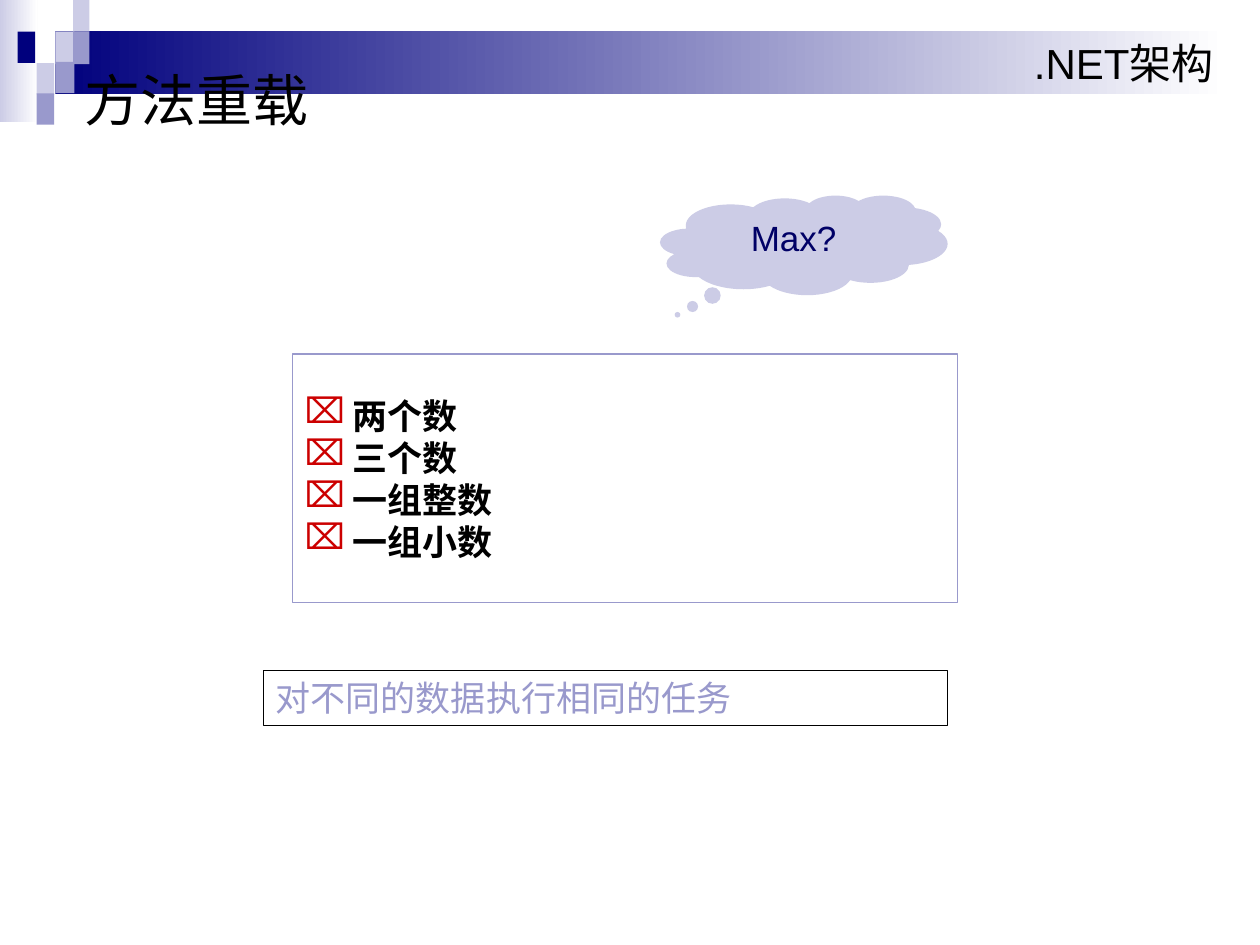
from lxml.etree import SubElement
from pptx import Presentation
from pptx.dml.color import RGBColor
from pptx.enum.shapes import MSO_SHAPE
from pptx.enum.text import MSO_ANCHOR, PP_ALIGN
from pptx.oxml.ns import qn
from pptx.util import Inches, Pt

NAVY, BLUE, PALE = "00007D", "9999CC", "CCCCE6"
WHITE, BLACK, RED = "FFFFFF", "000000", "CC0000"

# Small squares of the corner pattern: left, top, width, height, colour
TILES = [
    (0.44, 0.25, 0.15, 0.26, PALE),
    (0.58, 0, 0.13, 0.25, PALE),
    (0.58, 0.25, 0.13, 0.26, BLUE),
    (0.29, 0.5, 0.14, 0.25, PALE),
    (0.14, 0.25, 0.14, 0.25, NAVY),
    (0.44, 0.49, 0.15, 0.25, BLUE),
    (0.29, 0.74, 0.14, 0.25, BLUE),
]
CASES = ["两个数", "三个数", "一组整数", "一组小数"]


def color(code):
    return RGBColor.from_string(code)


def add_shape(slide, box, fill=None, line=None, kind=MSO_SHAPE.RECTANGLE):
    shape = slide.shapes.add_shape(kind, *map(Inches, box))
    shape.shadow.inherit = False
    if fill:
        shape.fill.solid()
        shape.fill.fore_color.rgb = color(fill)
    else:
        shape.fill.background()
    if line:
        shape.line.color.rgb = color(line)
        shape.line.width = Pt(0.75)
    else:
        shape.line.fill.background()
    return shape


def add_fade(slide, box, start):
    shape = add_shape(slide, box)
    shape.fill.gradient()
    shape.fill.gradient_angle = 0
    for stop, code in zip(shape.fill.gradient_stops, (start, WHITE)):
        stop.color.rgb = color(code)
    return shape


def add_bullet(para, mark, code):
    props = para._p.get_or_add_pPr()
    props.set("marL", str(Inches(0.38)))
    props.set("indent", str(Inches(-0.38)))
    tint = SubElement(props, qn("a:buClr"))
    SubElement(tint, qn("a:srgbClr"), val=code)
    SubElement(props, qn("a:buChar"), char=mark)


def set_text(shape, lines, size, code, align=PP_ALIGN.LEFT,
             anchor=MSO_ANCHOR.TOP, inset=(0.1, 0.05), bold=False, mark=None):
    frame = shape.text_frame
    side, edge = map(Inches, inset)
    form = {"word_wrap": True, "vertical_anchor": anchor,
            "margin_left": side, "margin_right": side,
            "margin_top": edge, "margin_bottom": edge}
    for name, value in form.items():
        setattr(frame, name, value)
    frame.text = "\n".join(lines)
    for para in frame.paragraphs:
        para.alignment = align
        if mark:
            add_bullet(para, mark, RED)
        for run in para.runs:
            style = {"name": "Arial", "size": Pt(size), "bold": bold}
            for name, value in style.items():
                setattr(run.font, name, value)
            run.font.color.rgb = color(code)


def main():
    deck = Presentation()
    deck.slide_width, deck.slide_height = Inches(10), Inches(7.5)
    slide = deck.slides.add_slide(deck.slide_layouts[6])

    # Header band and corner pattern
    add_fade(slide, (0, 0, 0.3, 0.97), PALE)
    band = add_fade(slide, (0.44, 0.25, 9.29, 0.5), NAVY)
    set_text(band, [".NET架构"], 24, BLACK, align=PP_ALIGN.RIGHT)
    for *box, fill in TILES:
        add_shape(slide, box, fill)

    # Title
    title = slide.shapes.add_textbox(*map(Inches, (0.67, 0.33, 8.17, 0.91)))
    set_text(title, ["方法重载"], 32, BLACK,
             anchor=MSO_ANCHOR.MIDDLE, inset=(0, 0))

    # Summary box
    note = add_shape(slide, (2.09, 5.32, 5.43, 0.44), line=BLACK)
    set_text(note, ["对不同的数据执行相同的任务"], 20, BLUE)

    # Thought cloud
    cloud = add_shape(slide, (5.24, 1.55, 2.28, 0.79), PALE,
                      kind=MSO_SHAPE.CLOUD_CALLOUT)
    cloud.adjustments[0], cloud.adjustments[1] = -0.44, 0.7
    set_text(cloud, ["Max?"], 20, "000066", align=PP_ALIGN.CENTER)

    # List of cases
    cases = add_shape(slide, (2.32, 2.81, 5.28, 1.97), line=BLUE)
    set_text(cases, CASES, 20, BLACK, anchor=MSO_ANCHOR.MIDDLE,
             bold=True, mark="⌧")

    deck.save("out.pptx")


if __name__ == "__main__":
    main()
